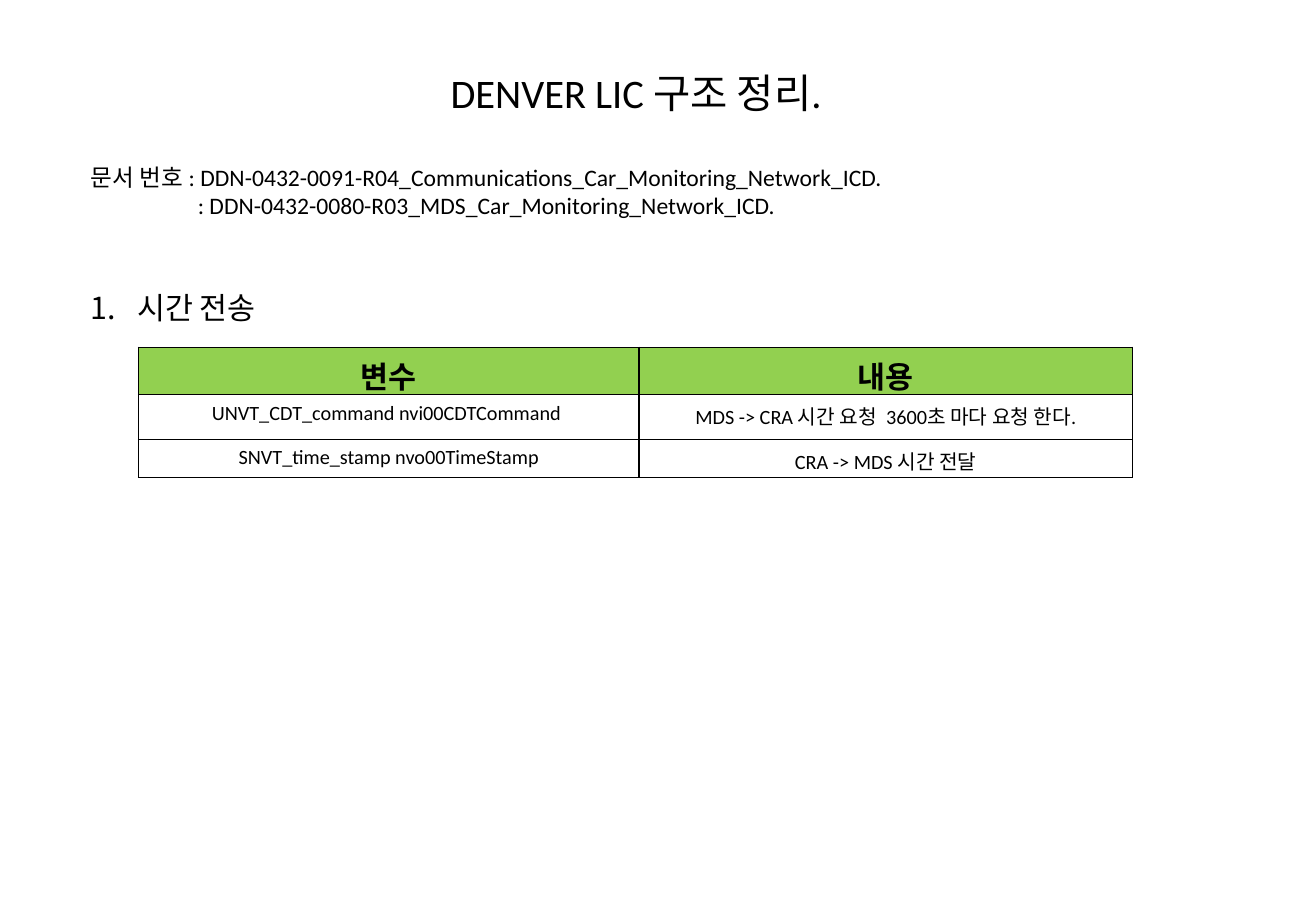
from lxml.etree import SubElement
from pptx import Presentation
from pptx.dml.color import RGBColor
from pptx.enum.text import PP_ALIGN
from pptx.oxml.ns import qn
from pptx.util import Pt

PX = 9144  # EMU, 100 px to the inch
BLACK = RGBColor(0x00, 0x00, 0x00)
GREEN = RGBColor(0x92, 0xD0, 0x50)
FONT = "Calibri"

COLUMN_WIDTHS = (412, 406)
ROW_HEIGHTS = (39, 37, 31)
TIME_VARIABLES = (
    ("변수", "내용"),
    ("UNVT_CDT_command nvi00CDTCommand ",
     "MDS -> CRA 시간 요청  3600초 마다 요청 한다."),
    ("SNVT_time_stamp nvo00TimeStamp", "CRA -> MDS 시간 전달"),
)


def add_run(paragraph, text, size, bold=False):
    run = paragraph.add_run()
    run.text = text
    run.font.name = FONT
    run.font.size = Pt(size)
    run.font.bold = bold
    run.font.color.rgb = BLACK


def add_text(slide, left, top, width, height, lines, size):
    """Add a text box with one paragraph per line and return its paragraphs."""
    box = slide.shapes.add_textbox(left * PX, top * PX, width * PX, height * PX)
    frame = box.text_frame
    frame.word_wrap = True
    for index, line in enumerate(lines):
        paragraph = frame.add_paragraph() if index else frame.paragraphs[0]
        add_run(paragraph, line, size)
    return frame.paragraphs


def set_indent(paragraph, left, first=0):
    properties = paragraph._p.get_or_add_pPr()
    properties.set("marL", str(left * PX))
    properties.set("indent", str(first * PX))
    return properties


def add_numbered_heading(slide, left, top, width, height, text):
    paragraph = add_text(slide, left, top, width, height, [text], 18)[0]
    properties = set_indent(paragraph, 38, -38)
    SubElement(properties, qn("a:buFont"), typeface="+mj-lt")
    SubElement(properties, qn("a:buAutoNum"), type="arabicPeriod")


def add_borders(cell):
    properties = cell._tc.get_or_add_tcPr()
    for side in ("lnL", "lnR", "lnT", "lnB"):
        line = SubElement(properties, qn(f"a:{side}"), w=str(Pt(1)))
        fill = SubElement(line, qn("a:solidFill"))
        SubElement(fill, qn("a:srgbClr"), val=str(BLACK))


def fill_cell(cell, text, is_header):
    add_borders(cell)
    if is_header:
        cell.fill.solid()
        cell.fill.fore_color.rgb = GREEN
    else:
        cell.fill.background()
    cell.margin_bottom = 0
    paragraph = cell.text_frame.paragraphs[0]
    paragraph.alignment = PP_ALIGN.CENTER
    add_run(paragraph, text, 18 if is_header else 12, is_header)


def add_variable_table(slide, left, top):
    table = slide.shapes.add_table(
        len(ROW_HEIGHTS), len(COLUMN_WIDTHS), left * PX, top * PX,
        sum(COLUMN_WIDTHS) * PX, sum(ROW_HEIGHTS) * PX).table
    table.first_row = False
    table.horz_banding = False
    for column, width in zip(table.columns, COLUMN_WIDTHS):
        column.width = width * PX
    for index, (row, height) in enumerate(zip(table.rows, ROW_HEIGHTS)):
        row.height = height * PX
        for cell, text in zip(row.cells, TIME_VARIABLES[index]):
            fill_cell(cell, text, index == 0)


def main():
    presentation = Presentation()
    presentation.slide_width = 1083 * PX
    presentation.slide_height = 750 * PX
    slide = presentation.slides.add_slide(presentation.slide_layouts[6])

    add_text(slide, 361, 51, 390, 50, ["DENVER LIC 구조 정리."], 24)
    document_numbers = add_text(slide, 65, 129, 754, 81, [
        "문서 번호 : DDN-0432-0091-R04_Communications_Car_Monitoring_Network_ICD.",
        ": DDN-0432-0080-R03_MDS_Car_Monitoring_Network_ICD.",
    ], 14)
    set_indent(document_numbers[1], 88)
    add_numbered_heading(slide, 65, 233, 999, 40, "시간 전송")
    add_variable_table(slide, 114, 286)

    presentation.save("out.pptx")


if __name__ == "__main__":
    main()
